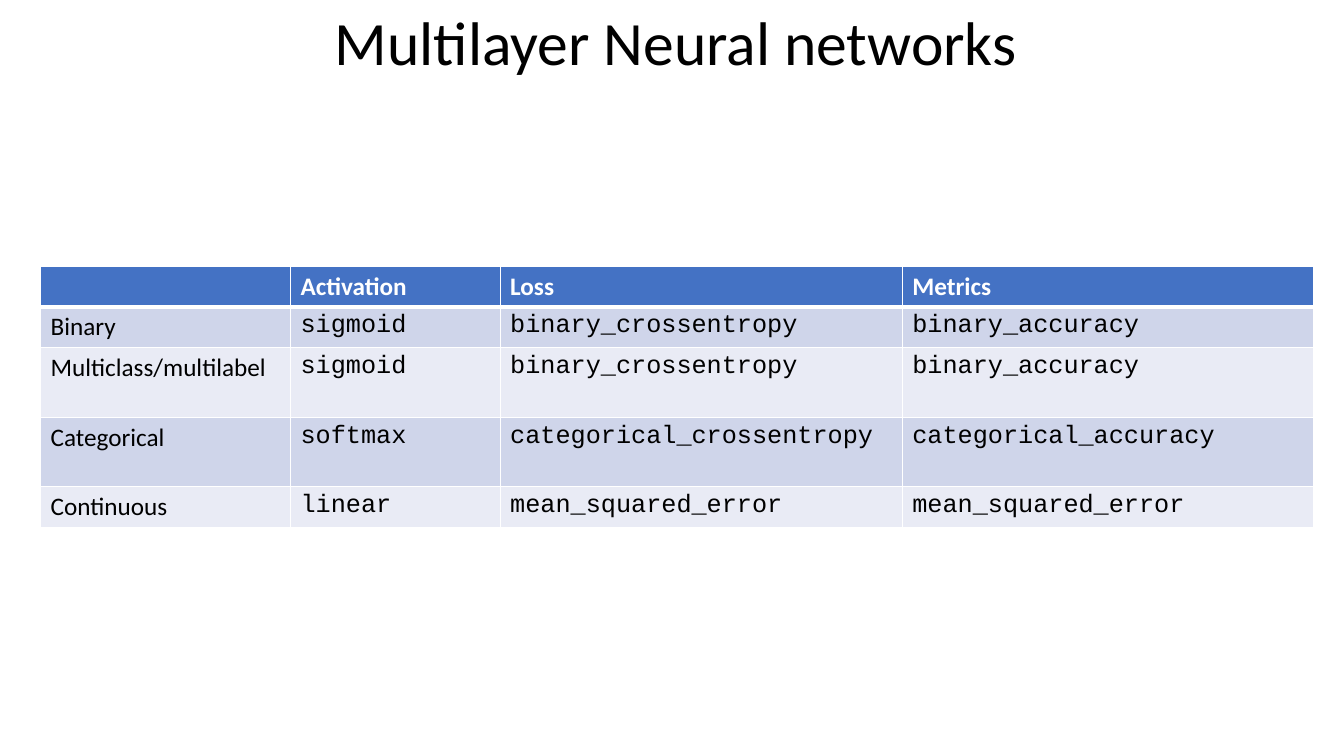
from dataclasses import dataclass

from lxml.etree import SubElement
from pptx import Presentation
from pptx.dml.color import RGBColor
from pptx.enum.text import MSO_ANCHOR, PP_ALIGN
from pptx.oxml.ns import qn
from pptx.util import Pt


@dataclass(frozen=True)
class Theme:
    text: str = "000000"
    white: str = "FFFFFF"
    header: str = "4472C4"
    bands: tuple = ("CFD5EA", "E9EBF5")
    body_font: str = "Calibri"
    code_font: str = "Courier New"
    title_size: int = 44
    table_size: int = 18
    thin_line: int = 1
    thick_line: int = 3


THEME = Theme()

COLUMN_WIDTHS = (178.5, 149.75, 287.25, 293.75)
ROW_HEIGHTS = (29.2, 29.2, 49.7, 49.7, 29.2)
TABLE_ROWS = (
    ("", "Activation", "Loss", "Metrics"),
    ("Binary", "sigmoid", "binary_crossentropy", "binary_accuracy"),
    ("Multiclass/multilabel", "sigmoid", "binary_crossentropy", "binary_accuracy"),
    ("Categorical", "softmax", "categorical_crossentropy", "categorical_accuracy"),
    ("Continuous", "linear", "mean_squared_error", "mean_squared_error"),
)


def write_text(text_frame, text, *, size, color=THEME.text, font=THEME.body_font,
               bold=False, align=PP_ALIGN.LEFT, line_spacing=None):
    paragraph = text_frame.paragraphs[0]
    paragraph.alignment = align
    paragraph.line_spacing = line_spacing
    paragraph.font.size = Pt(size)
    if text:
        run = paragraph.add_run()
        run.text = text
        run.font.name = font
        run.font.size = Pt(size)
        run.font.bold = bold
        run.font.color.rgb = RGBColor.from_string(color)


def set_borders(cell, **widths):
    """Draw white borders; must run before the cell gets its fill."""
    properties = cell._tc.get_or_add_tcPr()
    for side in "LRTB":
        width = widths.get(side, THEME.thin_line)
        line = SubElement(properties, qn(f"a:ln{side}"), w=str(Pt(width)))
        fill = SubElement(line, qn("a:solidFill"))
        SubElement(fill, qn("a:srgbClr"), val=THEME.white)


def add_title(slide, text, left, top, width, height):
    title = slide.shapes.title
    title.left, title.top = Pt(left), Pt(top)
    title.width, title.height = Pt(width), Pt(height)
    title.text_frame.word_wrap = True
    title.text_frame.vertical_anchor = MSO_ANCHOR.MIDDLE
    write_text(title.text_frame, text, size=THEME.title_size,
               align=PP_ALIGN.CENTER, line_spacing=0.9)


def add_settings_table(slide, left, top):
    table = slide.shapes.add_table(
        len(TABLE_ROWS), len(COLUMN_WIDTHS), Pt(left), Pt(top),
        Pt(sum(COLUMN_WIDTHS)), Pt(sum(ROW_HEIGHTS))).table
    for column, width in zip(table.columns, COLUMN_WIDTHS):
        column.width = Pt(width)

    for row_index, (texts, height) in enumerate(zip(TABLE_ROWS, ROW_HEIGHTS)):
        table.rows[row_index].height = Pt(height)
        is_header = row_index == 0
        # The thick rule is shared by the header and the first body row
        borders = {0: {"B": THEME.thick_line}, 1: {"T": THEME.thick_line}}.get(row_index, {})
        fill_color = THEME.header if is_header else THEME.bands[(row_index - 1) % 2]
        for column_index, text in enumerate(texts):
            cell = table.cell(row_index, column_index)
            set_borders(cell, **borders)
            cell.fill.solid()
            cell.fill.fore_color.rgb = RGBColor.from_string(fill_color)
            is_code = not is_header and column_index > 0
            write_text(cell.text_frame, text, size=THEME.table_size, bold=is_header,
                       color=THEME.white if is_header else THEME.text,
                       font=THEME.code_font if is_code else THEME.body_font)


def main():
    presentation = Presentation()
    presentation.slide_width, presentation.slide_height = Pt(960), Pt(540)
    slide = presentation.slides.add_slide(presentation.slide_layouts[5])

    # Heading
    add_title(slide, "Multilayer Neural networks", left=69, top=-20, width=828, height=104.5)
    # Output settings for each kind of target
    add_settings_table(slide, left=29, top=190)

    presentation.save("out.pptx")


if __name__ == "__main__":
    main()
